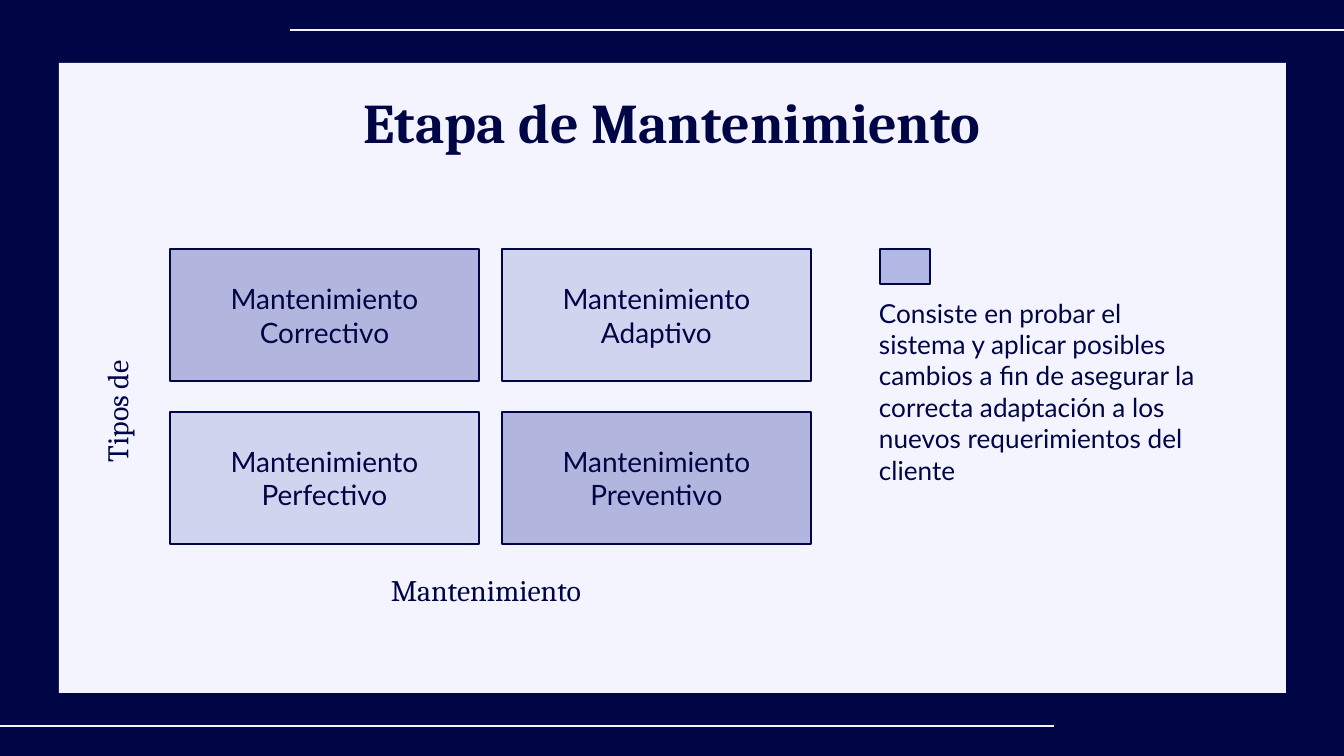
from dataclasses import dataclass

from lxml import etree
from pptx import Presentation
from pptx.dml.color import RGBColor
from pptx.enum.shapes import MSO_CONNECTOR, MSO_SHAPE
from pptx.enum.text import MSO_ANCHOR, PP_ALIGN
from pptx.oxml.ns import qn
from pptx.util import Emu, Pt

RECTANGLE = MSO_SHAPE.RECTANGLE
ROUNDED = MSO_SHAPE.ROUNDED_RECTANGLE
STRAIGHT = MSO_CONNECTOR.STRAIGHT
LEFT, CENTER = PP_ALIGN.LEFT, PP_ALIGN.CENTER
TOP, MIDDLE = MSO_ANCHOR.TOP, MSO_ANCHOR.MIDDLE

EMU_PER_PX = 914400 / 134.4
PAGE_WIDTH, PAGE_HEIGHT = 1344, 756
INSET = 13

CARD_WIDTH, CARD_HEIGHT = 309, 132
GRID_LEFT, GRID_TOP = 170, 249
COLUMN_STEP, ROW_STEP = 332, 163
CARD_ROWS = (
    ("Mantenimiento Correctivo", "Mantenimiento Adaptivo"),
    ("Mantenimiento Perfectivo", "Mantenimiento Preventivo"),
)
DESCRIPTION = (
    "Consiste en probar el sistema y aplicar posibles cambios a fin de "
    "asegurar la correcta adaptación a los nuevos requerimientos del cliente"
)


@dataclass(frozen=True)
class Theme:
    navy: str = "000546"
    paper: str = "F3F4FF"
    card_dark: str = "B2B5DD"
    card_light: str = "D1D4EF"
    legend: str = "B3B7E4"
    heading_font: str = "Cambria"
    body_font: str = "Lato"
    title_size: int = 30
    label_size: int = 16
    card_size: int = 15
    body_size: int = 14
    line_width: float = 1.5


THEME = Theme()


def px(length):
    return Emu(round(length * EMU_PER_PX))


def color(code):
    return RGBColor.from_string(code)


def write_text(shape, text, *, size, font=THEME.body_font, bold=False,
               align=CENTER, anchor=TOP):
    frame = shape.text_frame
    frame.word_wrap = True
    frame.vertical_anchor = anchor
    frame.margin_left = frame.margin_right = px(INSET)
    frame.margin_top = frame.margin_bottom = px(INSET)
    para = frame.paragraphs[0]
    para.alignment = align
    span = para.add_run()
    span.text = text
    span.font.name = font
    span.font.size = Pt(size)
    span.font.bold = bold
    span.font.color.rgb = color(THEME.navy)


def add_text(page, text, left, top, width, height, *, rotation=0, **text_format):
    box = page.shapes.add_textbox(px(left), px(top), px(width), px(height))
    box.rotation = rotation
    write_text(box, text, **text_format)


def add_panel(page, left, top, width, height, fill):
    panel = page.shapes.add_shape(
        RECTANGLE, px(left), px(top), px(width), px(height))
    panel.shadow.inherit = False
    panel.fill.solid()
    panel.fill.fore_color.rgb = color(fill)
    panel.line.fill.background()


def add_outlined_box(page, left, top, width, height, fill):
    box = page.shapes.add_shape(
        ROUNDED, px(left), px(top), px(width), px(height))
    box.adjustments[0] = 0
    box.shadow.inherit = False
    box.fill.solid()
    box.fill.fore_color.rgb = color(fill)
    box.line.color.rgb = color(THEME.navy)
    box.line.width = Pt(THEME.line_width)
    return box


def add_rule(page, start, end, y):
    rule = page.shapes.add_connector(STRAIGHT, px(start), px(y), px(end), px(y))
    rule.line.color.rgb = color(THEME.paper)
    rule.line.width = Pt(THEME.line_width)
    etree.SubElement(rule._element.spPr, qn("a:effectLst"))


def add_card_grid(page):
    """Draw the maintenance types with dark and light cards alternating."""
    fills = (THEME.card_dark, THEME.card_light)
    for row, names in enumerate(CARD_ROWS):
        for column, name in enumerate(names):
            card = add_outlined_box(
                page, GRID_LEFT + column * COLUMN_STEP, GRID_TOP + row * ROW_STEP,
                CARD_WIDTH, CARD_HEIGHT, fills[(row + column) % 2])
            write_text(card, name, size=THEME.card_size, anchor=MIDDLE)


def main():
    deck = Presentation()
    deck.slide_width, deck.slide_height = px(PAGE_WIDTH), px(PAGE_HEIGHT)
    page = deck.slides.add_slide(deck.slide_layouts[6])
    page.background.fill.solid()
    page.background.fill.fore_color.rgb = color(THEME.navy)

    add_panel(page, 59, 63, 1227, 630, THEME.paper)
    add_rule(page, 0, 1054, 726)
    add_rule(page, 290, PAGE_WIDTH, 30)

    add_card_grid(page)
    label = {"size": THEME.label_size, "font": THEME.heading_font}
    add_text(page, "Tipos de", -39, 382, 308, 59, rotation=270, **label)
    add_text(page, "Mantenimiento", 359, 559, 254, 59, **label)

    add_text(page, DESCRIPTION, 866, 284, 360, 152,
             size=THEME.body_size, align=LEFT)
    add_outlined_box(page, 880, 249, 50, 35, THEME.legend)
    add_text(page, "Etapa de Mantenimiento", 117, 75, 1110, 71,
             size=THEME.title_size, font=THEME.heading_font, bold=True)

    deck.save("out.pptx")


if __name__ == "__main__":
    main()
